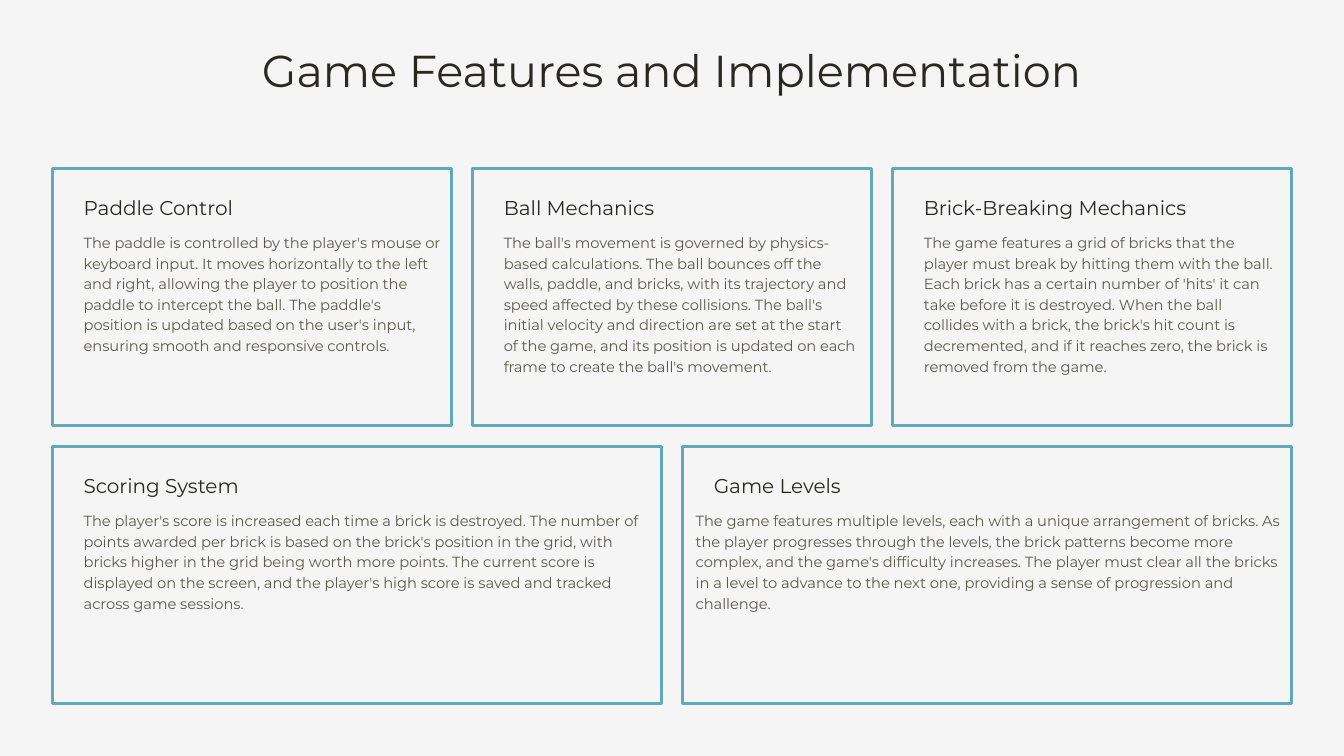
from pptx import Presentation
from pptx.dml.color import RGBColor
from pptx.enum.shapes import MSO_SHAPE
from pptx.enum.text import MSO_ANCHOR, MSO_AUTO_SIZE, PP_ALIGN
from pptx.util import Inches, Pt

PAPER = RGBColor(0xF5, 0xF5, 0xF5)
INK = RGBColor(0x2A, 0x29, 0x21)
OLIVE = RGBColor(0x5A, 0x5A, 0x4C)
TEAL = RGBColor(0x62, 0xA8, 0xBB)

LEFT, TOP = 0.52, 1.67
GRID_WIDTH, CARD_HEIGHT, GAP = 12.29, 2.55, 0.21
PADDING = 0.31

FEATURE_ROWS = [
    [
        ("Paddle Control", PADDING, 3.56,
         "The paddle is controlled by the player's mouse or keyboard input. It moves "
         "horizontally to the left and right, allowing the player to position the paddle "
         "to intercept the ball. The paddle's position is updated based on the user's "
         "input, ensuring smooth and responsive controls."),
        ("Ball Mechanics", PADDING, 3.53,
         "The ball's movement is governed by physics-based calculations. The ball bounces "
         "off the walls, paddle, and bricks, with its trajectory and speed affected by "
         "these collisions. The ball's initial velocity and direction are set at the start "
         "of the game, and its position is updated on each frame to create the ball's "
         "movement."),
        ("Brick-Breaking Mechanics", PADDING, 3.49,
         "The game features a grid of bricks that the player must break by hitting them "
         "with the ball. Each brick has a certain number of 'hits' it can take before it "
         "is destroyed. When the ball collides with a brick, the brick's hit count is "
         "decremented, and if it reaches zero, the brick is removed from the game."),
    ],
    [
        ("Scoring System", PADDING, 5.59,
         "The player's score is increased each time a brick is destroyed. The number of "
         "points awarded per brick is based on the brick's position in the grid, with "
         "bricks higher in the grid being worth more points. The current score is "
         "displayed on the screen, and the player's high score is saved and tracked "
         "across game sessions."),
        ("Game Levels", 0.13, 5.9,
         "The game features multiple levels, each with a unique arrangement of bricks. As "
         "the player progresses through the levels, the brick patterns become more "
         "complex, and the game's difficulty increases. The player must clear all the "
         "bricks in a level to advance to the next one, providing a sense of progression "
         "and challenge."),
    ],
]


class FeatureSlide:
    """Draws titled text and outlined cards in one style on a slide."""

    font_name = "Montserrat"

    def __init__(self, deck):
        self.slide = deck.slides.add_slide(deck.slide_layouts[5])
        self.slide.background.fill.solid()
        self.slide.background.fill.fore_color.rgb = PAPER

    def fill_text(self, holder, text, size, leading, color, align=PP_ALIGN.LEFT):
        frame = holder.text_frame
        frame.word_wrap = True
        frame.auto_size = MSO_AUTO_SIZE.NONE
        frame.vertical_anchor = MSO_ANCHOR.TOP
        frame.margin_left = frame.margin_right = 0
        frame.margin_top = frame.margin_bottom = 0
        paragraph = frame.paragraphs[0]
        paragraph.alignment = align
        paragraph.line_spacing = Pt(leading)
        paragraph.space_before = Pt(0)
        run = paragraph.add_run()
        run.text = text
        run.font.name = self.font_name
        run.font.size = Pt(size)
        run.font.color.rgb = color

    def title(self, text):
        heading = self.slide.shapes.title
        heading.left, heading.top = Inches(0), Inches(0.4)
        heading.width, heading.height = Inches(13.33), Inches(0.56)
        self.fill_text(heading, text, 31.9, 40.2, INK, PP_ALIGN.CENTER)

    def text(self, left, top, width, height, *style):
        box = self.slide.shapes.add_textbox(
            Inches(left), Inches(top), Inches(width), Inches(height))
        self.fill_text(box, *style)

    def frame(self, left, top, width):
        border = self.slide.shapes.add_shape(
            MSO_SHAPE.RECTANGLE, Inches(left), Inches(top), Inches(width), Inches(CARD_HEIGHT))
        border.shadow.inherit = False
        border.fill.background()
        border.line.color.rgb = TEAL
        border.line.width = Pt(2)

    def card(self, left, top, width, feature):
        name, indent, body_width, description = feature
        self.frame(left, top, width)
        self.text(left + PADDING, top + 0.26, width - PADDING, 0.25, name, 14.3, 18, INK)
        self.text(left + indent, top + 0.62, body_width, 1.43, description, 10.5, 14.7, OLIVE)


def main():
    deck = Presentation()
    deck.slide_width, deck.slide_height = Inches(13.33), Inches(7.5)
    page = FeatureSlide(deck)
    page.title("Game Features and Implementation")
    for row, features in enumerate(FEATURE_ROWS):
        width = (GRID_WIDTH - GAP * (len(features) - 1)) / len(features)
        for column, feature in enumerate(features):
            page.card(LEFT + column * (width + GAP), TOP + row * (CARD_HEIGHT + GAP),
                      width, feature)
    deck.save("out.pptx")


if __name__ == "__main__":
    main()
